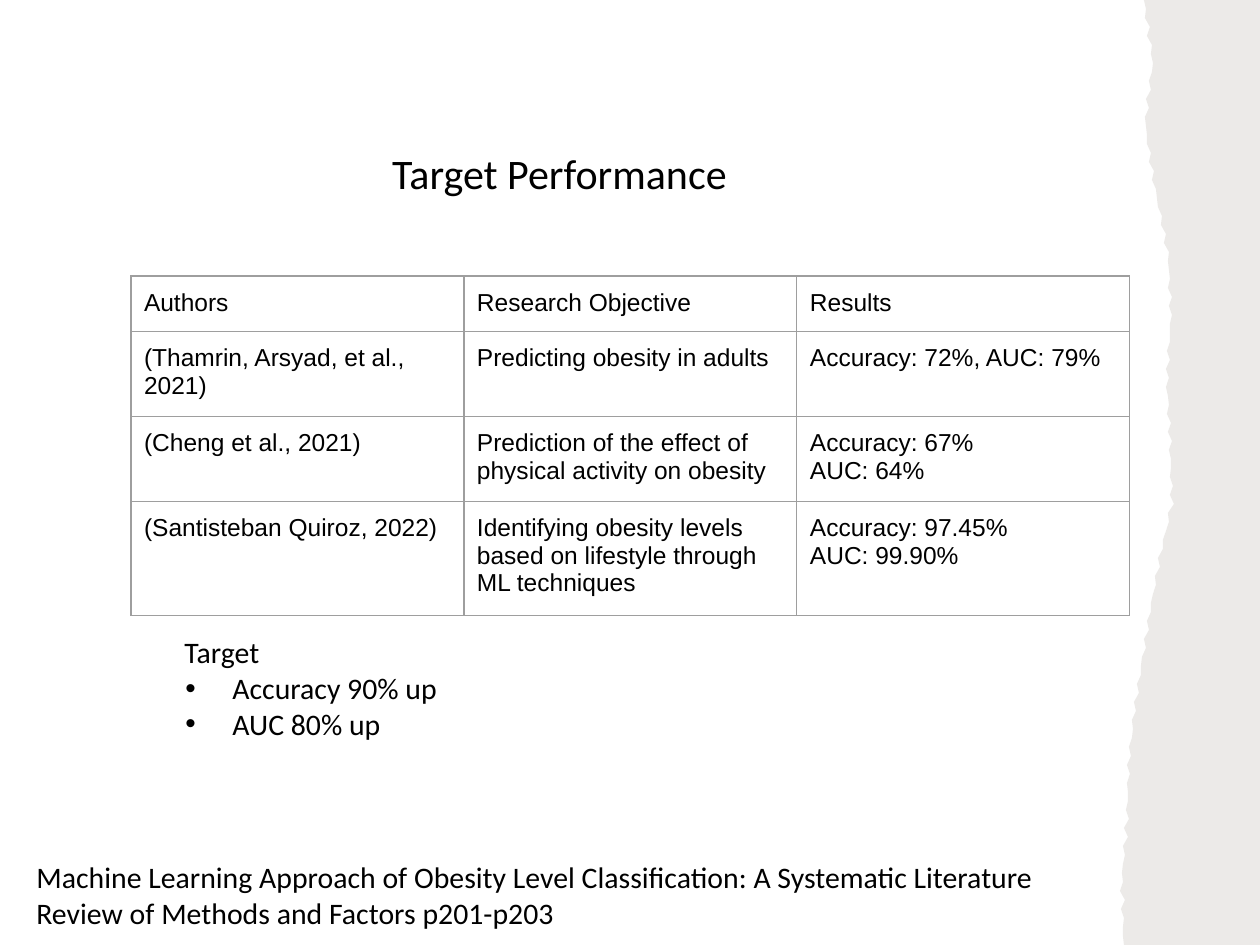
from math import sin

from lxml.etree import SubElement
from pptx import Presentation
from pptx.dml.color import RGBColor
from pptx.enum.shapes import MSO_SHAPE
from pptx.enum.text import MSO_ANCHOR, PP_ALIGN
from pptx.oxml.ns import qn
from pptx.util import Pt

SCALE = 914400 / 126
SLIDE_WIDTH, SLIDE_HEIGHT = 1260, 945
BLACK, WHITE, PAPER, GRID = "000000", "FFFFFF", "82766A", "9E9E9E"
TEXT_FONT, TABLE_FONT = "Calibri", "Arial"
TITLE_SIZE, TEXT_SIZE, TABLE_SIZE = 24, 17, 14


def px(length):
    return round(length * SCALE)


def format_paragraph(paragraph, font, size, align=PP_ALIGN.LEFT, margin=0, indent=0):
    paragraph.alignment = align
    properties = paragraph._p.get_or_add_pPr()
    properties.set("marL", str(px(margin)))
    properties.set("indent", str(px(indent)))
    for run in paragraph.runs:
        run.font.name = font
        run.font.size = Pt(size)
        run.font.color.rgb = RGBColor.from_string(BLACK)


presentation = Presentation()
presentation.slide_width = px(SLIDE_WIDTH)
presentation.slide_height = px(SLIDE_HEIGHT)
slide = presentation.slides.add_slide(presentation.slide_layouts[5])

citation = slide.shapes.add_shape(MSO_SHAPE.RECTANGLE, 0, px(844), px(1071), px(101))
citation.shadow.inherit = False
citation.fill.solid()
citation.fill.fore_color.rgb = RGBColor.from_string(WHITE)
citation.line.fill.background()
citation.text_frame.word_wrap = True
citation.text_frame.vertical_anchor = MSO_ANCHOR.MIDDLE
citation.text_frame.text = (
    "Machine Learning Approach of Obesity Level Classification: "
    "A Systematic Literature Review of Methods and Factors p201-p203"
)
format_paragraph(citation.text_frame.paragraphs[0], TEXT_FONT, TEXT_SIZE, margin=24)

title = slide.shapes.title
title.left, title.top, title.width, title.height = px(118), px(85), px(883), px(176)
title.text_frame.text = "Target Performance"
title.text_frame.vertical_anchor = MSO_ANCHOR.MIDDLE
format_paragraph(title.text_frame.paragraphs[0], TEXT_FONT, TITLE_SIZE, align=PP_ALIGN.CENTER)

target = slide.shapes.add_textbox(px(157), px(628), px(883), px(134))
target.text_frame.word_wrap = True
target.text_frame.text = "Target\nAccuracy 90% up\nAUC 80% up"
heading, *goals = target.text_frame.paragraphs
format_paragraph(heading, TEXT_FONT, TEXT_SIZE, margin=48, indent=-33)
for goal in goals:
    format_paragraph(goal, TEXT_FONT, TEXT_SIZE, margin=63, indent=-47)
    properties = goal._p.get_or_add_pPr()
    SubElement(properties, qn("a:buFont"), typeface="Arial")
    SubElement(properties, qn("a:buChar"), char="•")

edge_profile = [1144, 1153, 1145, 1155, 1168, 1171, 1167, 1170,
                1172, 1158, 1147, 1137, 1129, 1127, 1122, 1124]
profile_gap = SLIDE_HEIGHT // (len(edge_profile) - 1)
tear_step = 9
tear_roughness = 2
torn_edge = []
for index, (start, end) in enumerate(zip(edge_profile, edge_profile[1:])):
    for offset in range(0, profile_gap, tear_step):
        y = index * profile_gap + offset
        smooth_x = start + (end - start) * offset / profile_gap
        torn_edge.append((round(smooth_x + tear_roughness * sin(y)), y))
torn_edge.append((edge_profile[-1], SLIDE_HEIGHT))

builder = slide.shapes.build_freeform(SLIDE_WIDTH, 0, scale=SCALE)
builder.add_line_segments(torn_edge + [(SLIDE_WIDTH, SLIDE_HEIGHT)], close=True)
torn_paper = builder.convert_to_shape()
torn_paper.shadow.inherit = False
torn_paper.line.fill.background()
torn_paper.fill.solid()
torn_paper.fill.fore_color.rgb = RGBColor.from_string(PAPER)
paper_color = torn_paper._element.spPr.find(qn("a:solidFill"))[0]
SubElement(paper_color, qn("a:alpha"), val="15000")

studies = [
    ("Authors", "Research Objective", "Results"),
    ("(Thamrin, Arsyad, et al., 2021)", "Predicting obesity in adults", "Accuracy: 72%, AUC: 79%"),
    ("(Cheng et al., 2021)", "Prediction of the effect of physical activity on obesity",
     "Accuracy: 67%\nAUC: 64%"),
    ("(Santisteban Quiroz, 2022)", "Identifying obesity levels based on lifestyle through ML techniques",
     "Accuracy: 97.45%\nAUC: 99.90%"),
]
row_count, column_count = len(studies), len(studies[0])
column_width, row_height, cell_margin = 333, 52, 13
table = slide.shapes.add_table(
    row_count, column_count, px(131), px(276),
    px(column_count * column_width), px(row_count * row_height),
).table
table.first_row = False
table.horz_banding = False
for row, texts in zip(table.rows, studies):
    for cell, text in zip(row.cells, texts):
        cell.text_frame.text = text
        cell.margin_left = cell.margin_right = px(cell_margin)
        cell.margin_top = cell.margin_bottom = px(cell_margin)
        for paragraph in cell.text_frame.paragraphs:
            format_paragraph(paragraph, TABLE_FONT, TABLE_SIZE)
        cell_properties = cell._tc.get_or_add_tcPr()
        for side in ("lnL", "lnR", "lnT", "lnB"):
            border = SubElement(cell_properties, qn(f"a:{side}"), w=str(Pt(0.75)))
            border_fill = SubElement(border, qn("a:solidFill"))
            SubElement(border_fill, qn("a:srgbClr"), val=GRID)
        cell.fill.background()

presentation.save("out.pptx")
